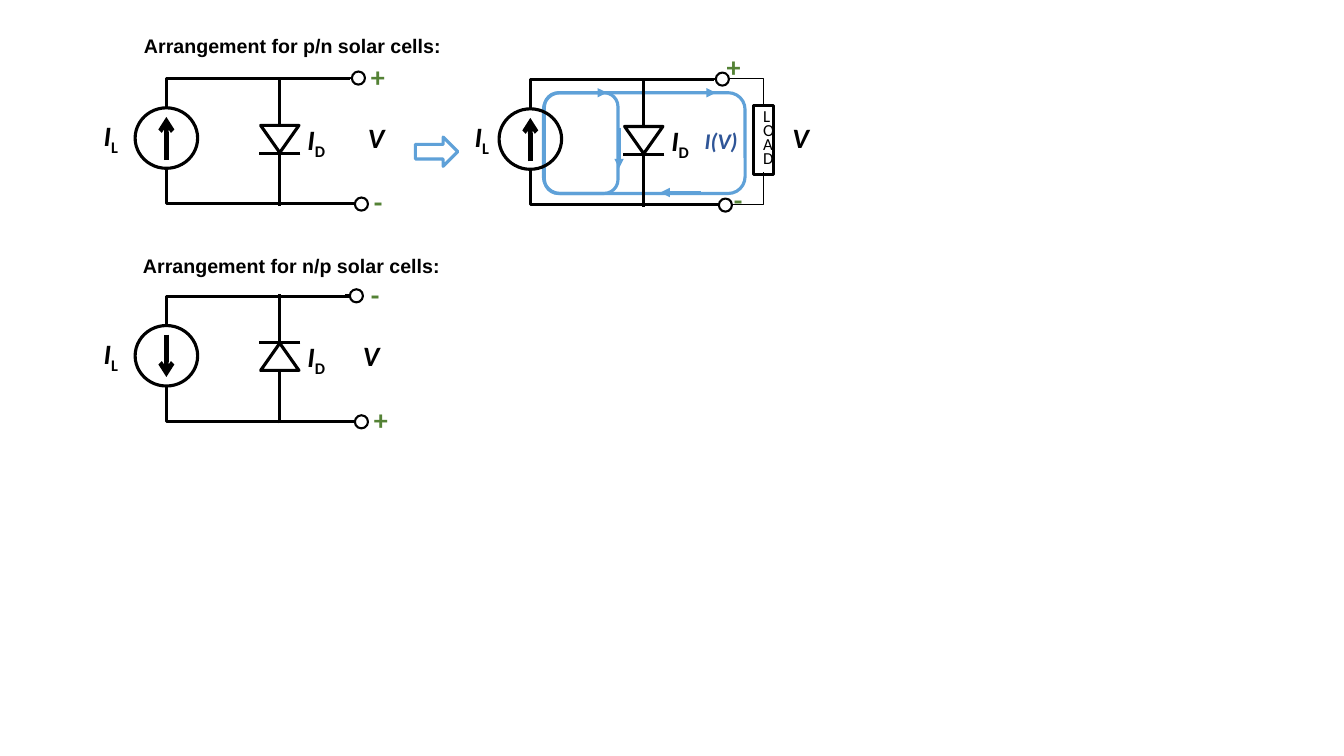
from dataclasses import dataclass
from lxml import etree
from pptx import Presentation
from pptx.dml.color import RGBColor
from pptx.enum.shapes import MSO_CONNECTOR, MSO_SHAPE
from pptx.enum.text import MSO_ANCHOR, MSO_AUTO_SIZE, PP_ALIGN
from pptx.oxml.ns import qn
from pptx.util import Inches, Pt

BLACK, WHITE, BLUE, NAVY, GREEN = "000000", "FFFFFF", "5FA1D8", "2F5597", "548235"
WIRE, THIN, ARROW = 2.25, 1.5, 3.25
SYMBOL = {"size": Pt(20), "name": "Calibri", "bold": True}
ITALIC = {**SYMBOL, "italic": True}
HEADING = {"size": Pt(14), "name": "Arial", "bold": True}
CURRENT = {"size": Pt(16), "name": "Calibri", "bold": True, "italic": True}
LOAD_FONT = {"size": Pt(12), "name": "Calibri"}


@dataclass
class Label:
    text: str
    left: float
    top: float
    width: float
    height: float = 0.44
    color: str = BLACK
    font: dict | None = None
    subscript: str = ""
    wrap: bool = True


@dataclass
class Circuit:
    """left and top shift the circuit; forward diodes point down."""
    left: float
    top: float
    forward: bool
    plus_left: float
    labels: list[Label]


def rgb(color: str) -> RGBColor:
    return RGBColor.from_string(color)


def add_span(para, text: str, font: dict, color: str):
    span = para.add_run()
    span.text = text
    for name, value in font.items():
        setattr(span.font, name, value)
    span.font.color.rgb = rgb(color)
    return span


def add_label(page, label: Label) -> None:
    box = page.shapes.add_textbox(Inches(label.left), Inches(label.top),
                                  Inches(label.width), Inches(label.height))
    frame = box.text_frame
    frame.word_wrap = label.wrap
    frame.auto_size = MSO_AUTO_SIZE.SHAPE_TO_FIT_TEXT
    para = frame.paragraphs[0]
    font = label.font or ITALIC
    add_span(para, label.text, font, label.color)
    if label.subscript:
        span = add_span(para, label.subscript, {**font, "italic": False}, label.color)
        span.font._element.set("baseline", "-25000")


def add_outline(page, kind, left: float, top: float, width: float, height: float,
                color: str = BLACK, weight: float = WIRE, fill: str = ""):
    shape = page.shapes.add_shape(kind, Inches(left), Inches(top),
                                  Inches(width), Inches(height))
    shape.shadow.inherit = False
    if fill:
        shape.fill.solid()
        shape.fill.fore_color.rgb = rgb(fill)
    else:
        shape.fill.background()
    shape.line.color.rgb = rgb(color)
    shape.line.width = Pt(weight)
    return shape


def add_wire(page, x1: float, y1: float, x2: float, y2: float, color: str = BLACK,
             weight: float = WIRE, head: str = "", bent: bool = False) -> None:
    """Bent wires run level first, then upright."""
    kind = MSO_CONNECTOR.ELBOW if bent else MSO_CONNECTOR.STRAIGHT
    wire = page.shapes.add_connector(kind, Inches(x1), Inches(y1), Inches(x2), Inches(y2))
    wire.line.color.rgb = rgb(color)
    wire.line.width = Pt(weight)
    properties = wire._element.spPr
    if bent:
        properties.find(qn("a:prstGeom")).set("prst", "bentConnector2")
    if head:
        etree.SubElement(properties.find(qn("a:ln")), qn("a:tailEnd"), type=head)
    etree.SubElement(properties, qn("a:effectLst"))


def add_terminal(page, left: float, top: float) -> None:
    add_outline(page, MSO_SHAPE.OVAL, left, top, 0.13, 0.13, weight=THIN, fill=WHITE)
    add_wire(page, left - 0.05, top + 0.06, left, top + 0.06, weight=THIN)


def add_circuit(page, circuit: Circuit) -> None:
    x, y = circuit.left, circuit.top
    source, diode = x + 1.65, x + 2.775

    triangle = add_outline(page, MSO_SHAPE.ISOSCELES_TRIANGLE, x + 2.585, y + 1.245, 0.38, 0.27)
    if circuit.forward:
        triangle._element.spPr.find(qn("a:xfrm")).set("flipV", "1")
    bar = y + (1.52 if circuit.forward else 1.24)
    add_wire(page, x + 2.98, bar, x + 2.57, bar)
    for start, end in ((1.24, 1.14), (1.62, 1.52), (1.19, 0.76), (2.04, 1.57)):
        add_wire(page, diode, y + start, diode, y + end)

    add_outline(page, MSO_SHAPE.OVAL, x + 1.34, y + 1.07, 0.62, 0.6)
    start, end = (1.59, 1.16) if circuit.forward else (1.16, 1.58)
    add_wire(page, source, y + start, source, y + end, weight=ARROW, head="arrow")
    for start, end in ((1.67, 1.77), (0.97, 1.07)):
        add_wire(page, source, y + start, source, y + end)

    add_terminal(page, x + circuit.plus_left, y + 0.71)
    add_terminal(page, x + 3.52, y + 1.96)
    add_wire(page, x + 3.47, y + 0.78, source, y + 0.97, bent=True)
    add_wire(page, x + 3.52, y + 2.02, source, y + 1.77, bent=True)
    for label in circuit.labels:
        add_label(page, label)


def add_load(page) -> None:
    box = add_outline(page, MSO_SHAPE.RECTANGLE, 7.47, 1.05, 0.2, 0.68)
    box.text_frame.word_wrap = True
    box.text_frame.vertical_anchor = MSO_ANCHOR.MIDDLE
    para = box.text_frame.paragraphs[0]
    para.alignment = PP_ALIGN.CENTER
    para.line_spacing = Pt(10)
    add_span(para, "LOAD", LOAD_FONT, BLACK)
    add_wire(page, 7.23, 0.78, 7.57, 1.05, weight=0.5, bent=True)
    add_wire(page, 7.26, 2.03, 7.57, 1.71, weight=0.5, bent=True)


def add_current_loops(page) -> None:
    add_outline(page, MSO_SHAPE.ROUNDED_RECTANGLE, 5.39, 0.92, 2, 1, BLUE)
    inner = add_outline(page, MSO_SHAPE.ROUNDED_RECTANGLE, 5.4, 0.92, 0.73, 1, BLUE)
    inner.adjustments[0] = 0.19
    for ends in ((5.62, 0.92, 6.02, 0.92), (6.95, 1.91, 6.55, 1.91),
                 (6.14, 1.27, 6.14, 1.67), (6.7, 0.92, 7.1, 0.92)):
        add_wire(page, *ends, color=BLUE, head="triangle")
    add_label(page, Label("I(V)", 6.89, 1.21, 0.65, 0.37, NAVY, CURRENT))


def sign(text: str, left: float, top: float, width: float) -> Label:
    return Label(text, left, top, width, color=GREEN, font=SYMBOL)


def heading(text: str, left: float, top: float) -> Label:
    return Label(text, left, top, 3.16, 0.34, font=HEADING, wrap=False)


CIRCUITS = [
    Circuit(0, 0, True, 3.49, [
        heading("Arrangement for p/n solar cells:", 1.33, 0.29),
        Label("I", 0.93, 1.13, 0.56, subscript="L"),
        Label("I", 2.95, 1.17, 0.56, subscript="D"),
        Label("V", 3.55, 1.15, 0.56),
        sign("+", 3.58, 0.54, 0.36), sign("-", 3.61, 1.78, 0.29)]),
    Circuit(0, 2.16, False, 3.47, [
        heading("Arrangement for n/p solar cells:", 1.32, 2.47),
        Label("I", 0.93, 3.29, 0.56, subscript="L"),
        Label("I", 2.95, 3.32, 0.56, subscript="D"),
        Label("V", 3.5, 3.31, 0.56),
        sign("-", 3.58, 2.7, 0.36), sign("+", 3.61, 3.94, 0.29)]),
    Circuit(3.61, 0.01, True, 3.49, [
        Label("I", 4.61, 1.14, 0.38, subscript="L"),
        Label("I", 6.56, 1.18, 0.56, subscript="D"),
        Label("V", 7.76, 1.15, 0.4),
        sign("+", 7.11, 0.44, 0.36), sign("-", 7.18, 1.76, 0.29)]),
]


def main() -> None:
    deck = Presentation()
    deck.slide_width, deck.slide_height = Inches(13.33), Inches(7.5)
    page = deck.slides.add_slide(deck.slide_layouts[6])
    add_load(page)
    add_current_loops(page)
    add_outline(page, MSO_SHAPE.RIGHT_ARROW, 4.12, 1.36, 0.42, 0.29, BLUE)
    for circuit in CIRCUITS:
        add_circuit(page, circuit)
    deck.save("out.pptx")


if __name__ == "__main__":
    main()
